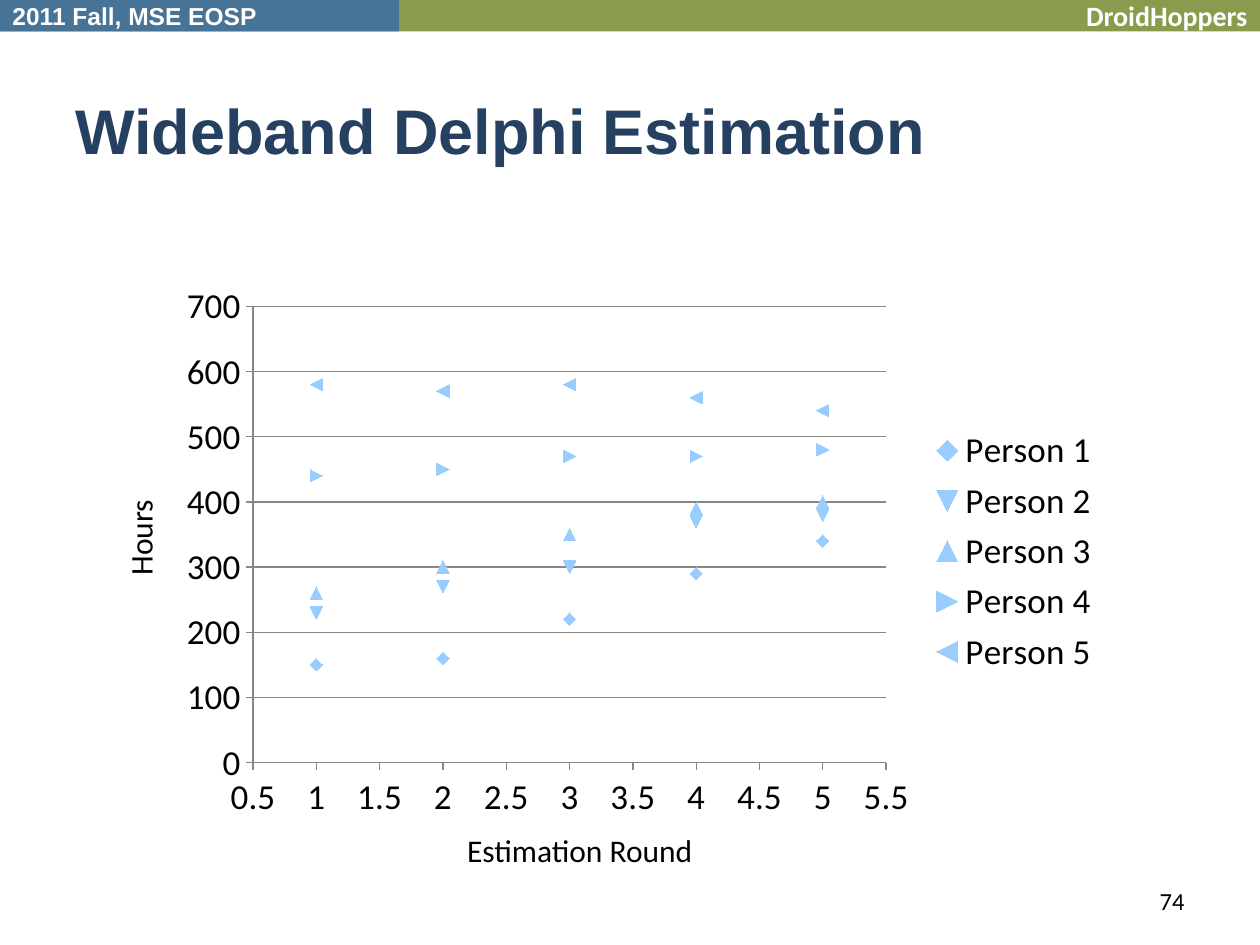
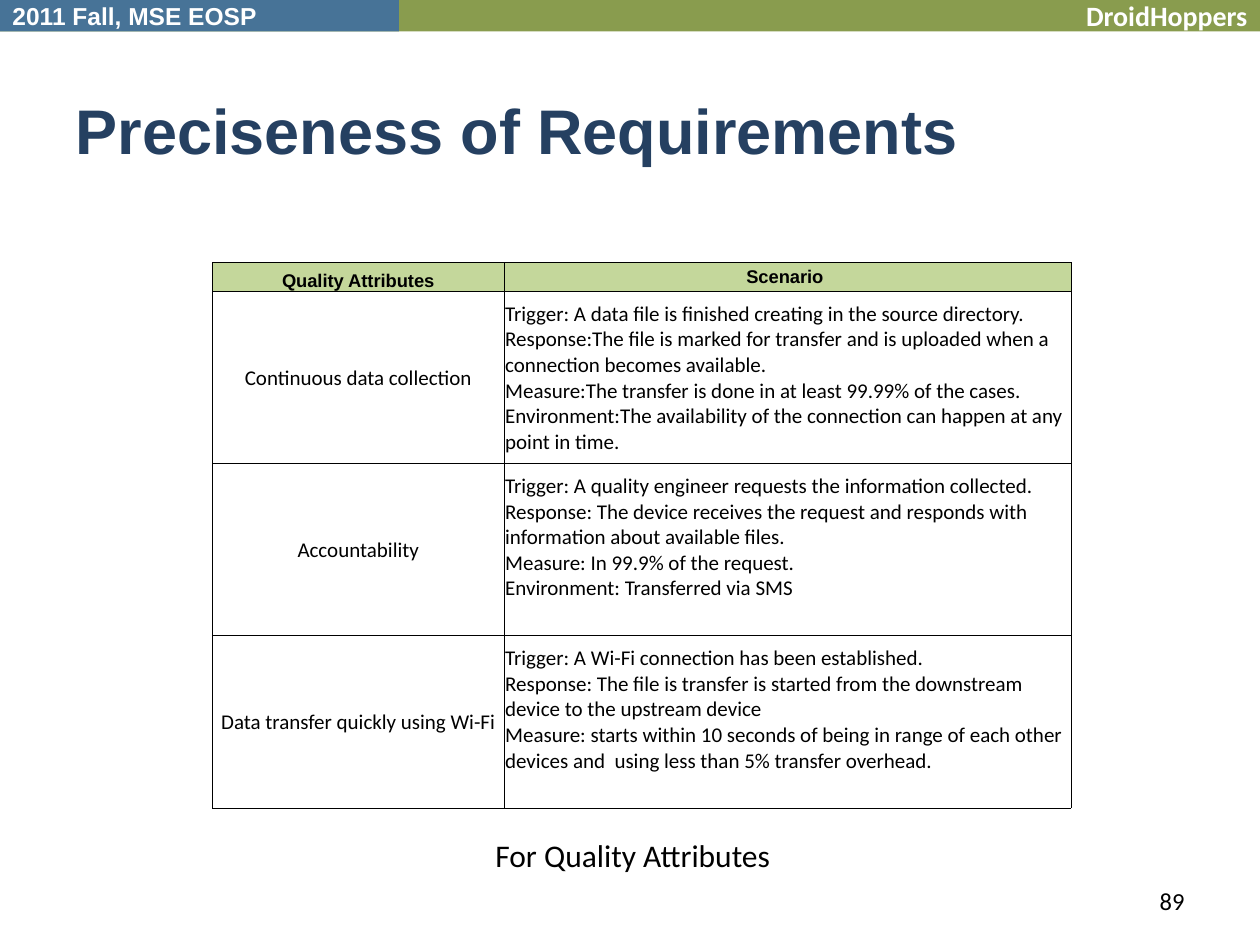
"""Builds two review slides: an estimation scatter chart and a requirements table."""
from dataclasses import dataclass
from typing import Any, Optional

from lxml.etree import SubElement
from pptx import Presentation
from pptx.chart.data import XyChartData
from pptx.dml.color import RGBColor
from pptx.enum.chart import XL_CHART_TYPE as Chart, XL_LEGEND_POSITION as LegendPos
from pptx.enum.chart import XL_MARKER_STYLE as Marker, XL_TICK_MARK as Tick
from pptx.enum.shapes import MSO_SHAPE as Shape
from pptx.enum.text import MSO_ANCHOR as Anchor, PP_ALIGN as Align
from pptx.oxml.ns import qn
from pptx.util import Inches, Pt

COLS, ROWS = 120, 90
SLIDE_W, SLIDE_H = Inches(10), Inches(7.5)

WHITE = RGBColor(0xFF, 0xFF, 0xFF)
BLACK = RGBColor(0x00, 0x00, 0x00)
NAVY = RGBColor(0x25, 0x40, 0x61)
OLIVE = RGBColor(0x89, 0x9C, 0x4E)
STEEL = RGBColor(0x47, 0x73, 0x97)
HEADER_GREEN = RGBColor(0xC4, 0xD7, 0x9B)
MARKER_BLUE = RGBColor(0x99, 0xCC, 0xFF)
GRID_GREY = RGBColor(0x87, 0x87, 0x87)


@dataclass(frozen=True)
class Box:
    """Place and size in grid columns and rows."""
    col: float
    row: float
    cols: float
    rows: float

    def emu(self) -> tuple[int, int, int, int]:
        """Return left, top, width and height as slide lengths."""
        return across(self.col), down(self.row), across(self.cols), down(self.rows)


@dataclass(frozen=True)
class Style:
    """Look of one run and its paragraph."""
    size: float
    font: str = "Calibri"
    color: RGBColor = BLACK
    bold: bool = False
    align: Align = Align.LEFT


@dataclass(frozen=True)
class Band:
    """Coloured strip with a label at the top of every slide."""
    box: Box
    fill: RGBColor
    text: str
    style: Style


@dataclass(frozen=True)
class Scenario:
    """Table row: a quality attribute, its scenario and free lines below it."""
    attribute: str
    lines: tuple[str, ...]
    spare_lines: int = 0


TITLE_BOX = Box(6, 6.6, 108, 11.4)
NUMBER_BOX = Box(86, 83.4, 28, 4.8)
CHART_BOX = Box(16, 26, 90, 53)
TABLE_BOX = Box(20.25, 25, 81.75, 51.95)
TABLE_COLS = (27.75, 54)
HEADER_ROWS, SCENARIO_ROWS = 2.75, 16.4
LINE_HEIGHT = Pt(14.6)

TITLE = Style(36, "Arial", NAVY, True)
NUMBER = Style(14, align=Align.RIGHT)
CAPTION = Style(18)
AXIS_CAPTION = Style(18, align=Align.CENTER)
HEADER = Style(10.5, "Arial", bold=True, align=Align.CENTER)
ATTRIBUTE = Style(12, align=Align.CENTER)
DETAIL = Style(12)

BANDS = (
    Band(Box(0, 0, COLS, 3), OLIVE, "DroidHoppers",
         Style(16, "Calibri", WHITE, True, Align.RIGHT)),
    Band(Box(0, 0, 38, 3), STEEL, "2011 Fall, MSE EOSP",
         Style(14, "Arial", WHITE, True)),
)

ESTIMATES = {
    "Person 1": (150, 160, 220, 290, 340),
    "Person 2": (230, 270, 300, 370, 380),
    "Person 3": (260, 300, 350, 390, 400),
    "Person 4": (440, 450, 470, 470, 480),
    "Person 5": (580, 570, 580, 560, 540),
}

SCENARIOS = (
    Scenario("Continuous data collection", (
        "Trigger: A data file is finished creating in the source directory.",
        "Response:The file is marked for transfer and is uploaded when a "
        "connection becomes available.",
        "Measure:The transfer is done in at least 99.99% of the cases.",
        "Environment:The availability of the connection can happen at any "
        "point in time.")),
    Scenario("Accountability", (
        "Trigger: A quality engineer requests the information collected.",
        "Response: The device receives the request and responds with "
        "information about available files.",
        "Measure: In 99.9% of the request.",
        "Environment: Transferred via SMS"), 1),
    Scenario("Data transfer quickly using Wi-Fi", (
        "Trigger: A Wi-Fi connection has been established.",
        "Response: The file is transfer is started from the downstream "
        "device to the upstream device",
        "Measure: starts within 10 seconds of being in range of each other "
        "devices and  using less than 5% transfer overhead."), 1),
)


def across(cols: float) -> int:
    """Turn grid columns into a length."""
    return round(SLIDE_W * cols / COLS)


def down(rows: float) -> int:
    """Turn grid rows into a length."""
    return round(SLIDE_H * rows / ROWS)


def write(tf: Any, style: Style, *lines: str) -> None:
    """Write lines, parted by line breaks, into the first paragraph."""
    p = tf.paragraphs[0]
    p.alignment = style.align
    for i, line in enumerate(lines):
        if i:
            p.add_line_break()
        r = p.add_run()
        r.text = line
        r.font.size, r.font.name, r.font.bold = Pt(style.size), style.font, style.bold
        r.font.color.rgb = style.color


def add_text(slide: Any, box: Box, text: str, style: Style,
             anchor: Anchor = Anchor.TOP, rotation: float = 0, wrap: bool = True) -> None:
    """Add a text box."""
    sp = slide.shapes.add_textbox(*box.emu())
    sp.rotation = rotation
    tf = sp.text_frame
    tf.word_wrap, tf.vertical_anchor = wrap, anchor
    write(tf, style, text)


def add_bands(slide: Any, layout: Any) -> None:
    """Draw the bands and hand them to the layout that all slides share."""
    for ph in list(layout.placeholders):
        if ph.placeholder_format.idx:
            ph.element.getparent().remove(ph.element)
    for band in BANDS:
        sp = slide.shapes.add_shape(Shape.RECTANGLE, *band.box.emu())
        sp.shadow.inherit = False
        sp.fill.solid()
        sp.fill.fore_color.rgb = band.fill
        sp.line.fill.background()
        sp.text_frame.vertical_anchor = Anchor.MIDDLE
        write(sp.text_frame, band.style, band.text)
        layout.shapes.element.append(sp.element)


def add_slide(prs: Any, layout: Any, title: str, number: int) -> Any:
    """Add a slide with its title and number."""
    slide = prs.slides.add_slide(layout)
    sp = slide.shapes.title
    sp.left, sp.top, sp.width, sp.height = TITLE_BOX.emu()
    sp.text_frame.vertical_anchor = Anchor.MIDDLE
    write(sp.text_frame, TITLE, title)
    add_text(slide, NUMBER_BOX, str(number), NUMBER, Anchor.MIDDLE)
    return slide


def place_plot(chart: Any, **shares: float) -> None:
    """Fix the inner plot area as shares of the chart."""
    plot_area = chart.element.find(".//" + qn("c:plotArea"))
    old = plot_area.find(qn("c:layout"))
    if old is not None:
        plot_area.remove(old)
    layout = SubElement(plot_area, qn("c:layout"))
    plot_area.insert(0, layout)
    manual = SubElement(layout, qn("c:manualLayout"))
    settings = {"layoutTarget": "inner", "xMode": "edge", "yMode": "edge", **shares}
    for name, value in settings.items():
        SubElement(manual, qn(f"c:{name}")).set("val", str(value))


def format_axis(axis: Any, low: float, high: float, step: float, grid: bool) -> None:
    """Set the scale and lines of an axis."""
    axis.minimum_scale, axis.maximum_scale, axis.major_unit = low, high, step
    axis.major_tick_mark, axis.minor_tick_mark = Tick.OUTSIDE, Tick.NONE
    axis.format.line.color.rgb = GRID_GREY
    axis.has_major_gridlines = grid
    if grid:
        axis.major_gridlines.format.line.color.rgb = GRID_GREY
    axis.tick_labels.number_format = "General"
    axis.tick_labels.number_format_is_linked = False


def add_estimates(slide: Any) -> None:
    """Add the scatter chart of estimates by round."""
    data = XyChartData()
    for person, hours in ESTIMATES.items():
        series = data.add_series(person)
        for estimation_round, value in enumerate(hours, 1):
            series.add_data_point(estimation_round, value)
    chart = slide.shapes.add_chart(Chart.XY_SCATTER, *CHART_BOX.emu(), data).chart
    chart.has_title = False
    chart.font.size, chart.font.name = Pt(20), "Calibri"
    chart.font.color.rgb = BLACK
    chart.has_legend = True
    chart.legend.position, chart.legend.include_in_layout = LegendPos.RIGHT, False
    format_axis(chart.category_axis, 0.5, 5.5, 0.5, False)
    format_axis(chart.value_axis, 0, 700, 100, True)
    place_plot(chart, x=0.09, y=0.06, w=0.67, h=0.82)
    chart.plots[0].vary_by_categories = False
    for series in chart.plots[0].series:
        series.format.line.fill.background()
        series.marker.style, series.marker.size = Marker.AUTOMATIC, 7
        series.marker.format.fill.solid()
        series.marker.format.fill.fore_color.rgb = MARKER_BLUE
        series.marker.format.line.fill.background()
    for i, idx in enumerate(chart.element.iter(qn("c:idx")), 1):
        idx.set("val", str(i))


def format_cell(cell: Any, fill: Optional[RGBColor], anchor: Anchor) -> None:
    """Set the fill, insets and thin black borders of a cell."""
    cell.vertical_anchor = anchor
    cell.margin_left = cell.margin_right = cell.margin_top = Inches(0.01)
    cell.margin_bottom = 0
    props = cell._tc.get_or_add_tcPr()
    for side in ("lnL", "lnR", "lnT", "lnB"):
        line = SubElement(props, qn(f"a:{side}"), w=str(Pt(0.5)))
        SubElement(SubElement(line, qn("a:solidFill")), qn("a:srgbClr"), val=str(BLACK))
    if fill is None:
        cell.fill.background()
    else:
        cell.fill.solid()
        cell.fill.fore_color.rgb = fill


def add_scenarios(slide: Any) -> None:
    """Add the table of quality attributes."""
    table = slide.shapes.add_table(
        len(SCENARIOS) + 1, len(TABLE_COLS), *TABLE_BOX.emu()).table
    table.first_row = table.horz_banding = False
    for column, cols in zip(table.columns, TABLE_COLS):
        column.width = across(cols)
    for i, row in enumerate(table.rows):
        row.height = down(SCENARIO_ROWS if i else HEADER_ROWS)
    headings = (("Quality Attributes", Anchor.BOTTOM), ("Scenario ", Anchor.MIDDLE))
    for cell, (heading, anchor) in zip(table.rows[0].cells, headings):
        format_cell(cell, HEADER_GREEN, anchor)
        write(cell.text_frame, HEADER, heading)
    for i, scenario in enumerate(SCENARIOS, 1):
        attribute, detail = table.rows[i].cells
        for cell in (attribute, detail):
            format_cell(cell, None, Anchor.MIDDLE)
        detail.margin_bottom = scenario.spare_lines * LINE_HEIGHT
        write(attribute.text_frame, ATTRIBUTE, scenario.attribute)
        write(detail.text_frame, DETAIL, *scenario.lines)


def main() -> None:
    """Build and save the presentation."""
    prs = Presentation()
    prs.slide_width, prs.slide_height = SLIDE_W, SLIDE_H
    layout = prs.slide_layouts.get_by_name("Title Only")

    slide = add_slide(prs, layout, "Wideband Delphi Estimation", 74)
    add_bands(slide, layout)
    add_estimates(slide)
    add_text(slide, Box(43.3, 78.6, 26.5, 4.8), "Estimation Round", CAPTION)
    add_text(slide, Box(0.1, 48.8, 26.5, 4.8), "Hours", AXIS_CAPTION, rotation=270)

    slide = add_slide(prs, layout, "Preciseness of Requirements", 89)
    add_scenarios(slide)
    add_text(slide, Box(46, 79, 29, 4.8), "For Quality Attributes", CAPTION, wrap=False)
    prs.save("out.pptx")


if __name__ == "__main__":
    main()
